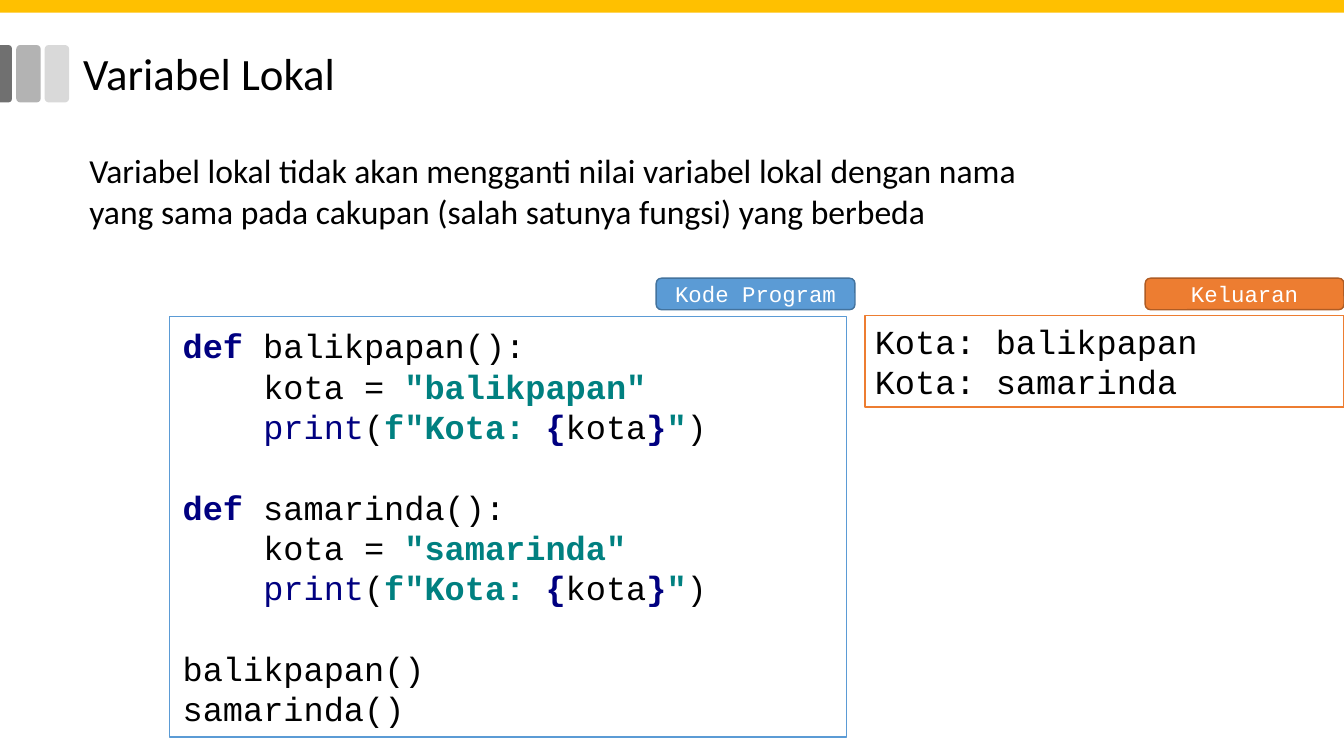
"""Build the slide on local variables with its code and output panels."""
from pptx import Presentation
from pptx import util as u
from pptx.dml.color import RGBColor
from pptx.enum import shapes, text

BLACK, WHITE, NAVY, TEAL = "000000", "FFFFFF", "000080", "008080"
BLUE, ORANGE = "5B9BD5", "ED7D31"
ROUND = shapes.MSO_SHAPE.ROUNDED_RECTANGLE
RECT = shapes.MSO_SHAPE.RECTANGLE
TOP, MIDDLE = text.MSO_ANCHOR.TOP, text.MSO_ANCHOR.MIDDLE


def color(value):
    return RGBColor.from_string(value)


def apply(target, values):
    for name, value in values.items():
        setattr(target, name, value)


class SlideBuilder:
    body = {"name": "Calibri", "size": u.Pt(24)}
    title = {"name": "Calibri", "size": u.Pt(32)}
    code = {"name": "Courier New", "size": u.Pt(24)}
    label = {"name": "Courier New", "size": u.Pt(16)}
    tones = {
        "plain": (BLACK, False),
        "keyword": (NAVY, True),
        "builtin": (NAVY, False),
        "string": (TEAL, True),
    }

    def __init__(self, page):
        self.page = page

    def shape(self, kind, place, fill=None, line=None):
        box = self.page.shapes.add_shape(kind, *map(u.Pt, place))
        box.shadow.inherit = False
        if fill:
            box.fill.solid()
            box.fill.fore_color.rgb = color(fill)
        else:
            box.fill.background()
        if line:
            box.line.color.rgb = color(line)
            box.line.width = u.Pt(1)
        else:
            box.line.fill.background()
        return box

    def textbox(self, place):
        return self.page.shapes.add_textbox(*map(u.Pt, place))

    def frame(self, box, anchor=TOP, inset=(7.2, 3.6)):
        side, edge = map(u.Pt, inset)
        apply(box.text_frame, {
            "word_wrap": True, "vertical_anchor": anchor,
            "margin_left": side, "margin_right": side,
            "margin_top": edge, "margin_bottom": edge,
        })
        return box.text_frame

    def span(self, para, words, font, tone=BLACK, bold=False):
        span = para.add_run()
        span.text = words
        apply(span.font, {**font, "bold": bold})
        span.font.color.rgb = color(tone)

    def paragraphs(self, frame, lines, font, tone=BLACK, **layout):
        for number, words in enumerate(lines):
            para = frame.add_paragraph() if number else frame.paragraphs[0]
            apply(para, {"alignment": text.PP_ALIGN.LEFT, **layout})
            self.span(para, words, font, tone)

    def listing(self, frame, lines):
        para = frame.paragraphs[0]
        para.alignment = text.PP_ALIGN.LEFT
        apply(para.font, self.code)
        for number, line in enumerate(lines):
            if number:
                para.add_line_break()
            for tone, words in line:
                self.span(para, words, self.code, *self.tones[tone])

    def tab(self, left, words, fill, line):
        box = self.shape(ROUND, (left, 198.75, 142, 22.5), fill, line)
        self.paragraphs(self.frame(box, MIDDLE), [words], self.label, WHITE,
                        alignment=text.PP_ALIGN.CENTER)


def city_function(city):
    return [
        [("keyword", "def "), ("plain", f"{city}():")],
        [("plain", "    kota = "), ("string", f'"{city}"')],
        [("builtin", "    print"), ("plain", "("), ("string", 'f"Kota: '),
         ("keyword", "{"), ("plain", "kota"), ("keyword", "}"),
         ("string", '"'), ("plain", ")")],
        [],
    ]


def main():
    deck = Presentation()
    deck.slide_width, deck.slide_height = u.Pt(960), u.Pt(540)
    build = SlideBuilder(deck.slides.add_slide(deck.slide_layouts[6]))
    cities = ["balikpapan", "samarinda"]

    for left, gray in ((31.9, "D9D9D9"), (11.6, "B3B3B3")):
        build.shape(ROUND, (left, 32.2, 17.5, 41), gray)
    edge = build.shape(shapes.MSO_SHAPE.ROUND_2_SAME_RECTANGLE,
                       (-16.4, 48.3, 41, 8.8), "707070")
    edge.rotation = 90
    edge.adjustments[0] = 0.29
    build.shape(RECT, (0, 0, 960, 9), "FFC000")

    title = build.frame(build.textbox((50, 27.4, 828, 104)), inset=(9.4, 9.4))
    build.paragraphs(title, ["Variabel Lokal"], build.title, line_spacing=0.9)
    intro = build.frame(build.textbox((56.7, 103.7, 705.6, 65.5)))
    build.paragraphs(intro, ["Variabel lokal tidak akan mengganti nilai "
                             "variabel lokal dengan nama yang sama pada "
                             "cakupan (salah satunya fungsi) yang berbeda"],
                     build.body)

    program = build.shape(RECT, (121, 226.2, 483.5, 300.4), WHITE, BLUE)
    lines = [line for city in cities for line in city_function(city)]
    lines += [[("plain", f"{city}()")] for city in cities]
    build.listing(build.frame(program, MIDDLE, (9.4, 4.7)), lines)

    output = build.shape(RECT, (617.8, 225.4, 342.2, 65.4), line=ORANGE)
    build.paragraphs(build.frame(output), [f"Kota: {city}" for city in cities],
                     build.code)

    build.tab(468.7, "Kode Program", BLUE, "43739E")
    build.tab(818, "Keluaran", ORANGE, "AF5C24")
    deck.save("out.pptx")


if __name__ == "__main__":
    main()
